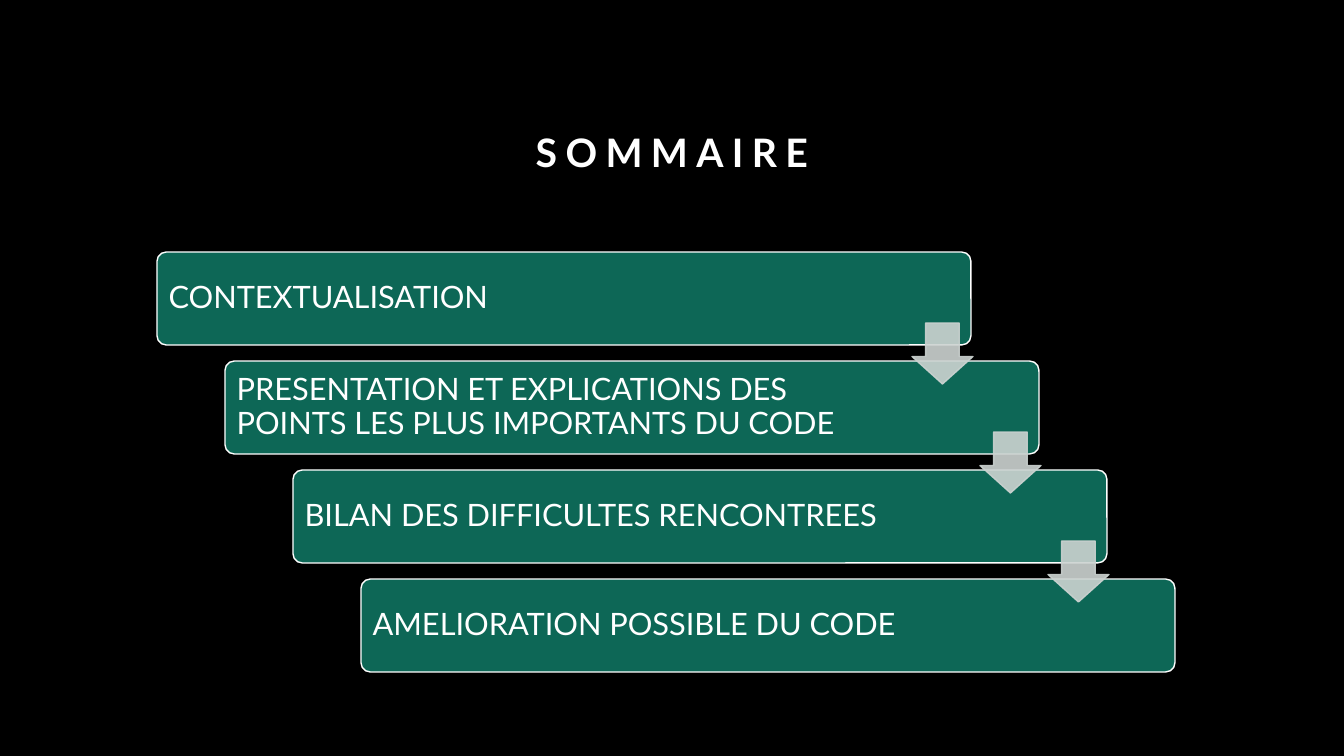
"""Build the summary slide: four stepped bars joined by arrows."""
from lxml.etree import SubElement
from pptx import Presentation
from pptx.dml.color import RGBColor
from pptx.enum.shapes import MSO_SHAPE as Shape
from pptx.enum.text import MSO_ANCHOR as Anchor, MSO_AUTO_SIZE as Fit, PP_ALIGN as Align
from pptx.oxml.ns import qn
from pptx.util import Pt

TITLE = "SOMMAIRE"
STEPS = [
    "CONTEXTUALISATION",
    "PRESENTATION ET EXPLICATIONS DES POINTS LES PLUS IMPORTANTS DU CODE",
    "BILAN DES DIFFICULTES RENCONTREES",
    "AMELIORATION POSSIBLE DU CODE",
]

BLACK = RGBColor(0, 0, 0)
WHITE = RGBColor(255, 255, 255)
GREEN = RGBColor(0x0D, 0x67, 0x56)
GREY = RGBColor(0xCC, 0xD3, 0xD1)

SCALE = 914400 / 100.8
WIDE, HIGH = 1344, 756
HEAD = (168, 84, 1008, 96)
BAR = (157, 252, 814, 93)
ARROW = (912, 323, 61, 61)
RIGHT, DOWN = 68, 109
PAD = (9, 9, 136, 9)


def px(num):
    return round(num * SCALE)


def write(shape, text, size=22, bold=False, align=Align.LEFT, lead=0.9,
          anchor=Anchor.MIDDLE, pad=(10, 5, 10, 5), gap=0):
    frame = shape.text_frame
    frame.auto_size = Fit.NONE
    frame.word_wrap = True
    frame.vertical_anchor = anchor
    (frame.margin_left, frame.margin_top,
     frame.margin_right, frame.margin_bottom) = map(px, pad)
    para = frame.paragraphs[0]
    para.alignment = align
    para.line_spacing = lead
    run = para.add_run()
    run.text = text
    font = run.font
    font.name, font.size, font.bold = "Lato", Pt(size), bold
    font.color.rgb = WHITE
    if gap:
        font._element.set("spc", str(gap * 100))


def draw(slide, kind, box, step, fill, line, adjust):
    left, top, width, height = box
    place = (left + step * RIGHT, top + step * DOWN, width, height)
    shape = slide.shapes.add_shape(kind, *map(px, place))
    shape.shadow.inherit = False
    shape.fill.solid()
    shape.fill.fore_color.rgb = fill
    shape.line.color.rgb = line
    shape.line.width = Pt(1)
    for spot, value in enumerate(adjust):
        shape.adjustments[spot] = value
    return shape


def fade(shape, share):
    for color in shape._element.spPr.iter(qn("a:srgbClr")):
        SubElement(color, qn("a:alpha"), val=str(share * 1000))


def main():
    deck = Presentation()
    deck.slide_width, deck.slide_height = px(WIDE), px(HIGH)
    slide = deck.slides.add_slide(deck.slide_layouts[5])
    slide.background.fill.solid()
    slide.background.fill.fore_color.rgb = BLACK

    title = slide.shapes.title
    title.left, title.top, title.width, title.height = map(px, HEAD)
    write(title, TITLE, size=28, bold=True, align=Align.CENTER, lead=1.2,
          anchor=Anchor.BOTTOM, gap=6)

    for step, text in enumerate(STEPS):
        bar = draw(slide, Shape.ROUNDED_RECTANGLE, BAR, step, GREEN, WHITE, [0.1])
        write(bar, text, pad=PAD)
    for step in range(len(STEPS) - 1):
        arrow = draw(slide, Shape.DOWN_ARROW, ARROW, step, GREY, GREY, [0.55, 0.45])
        fade(arrow, 90)

    deck.save("out.pptx")


if __name__ == "__main__":
    main()
